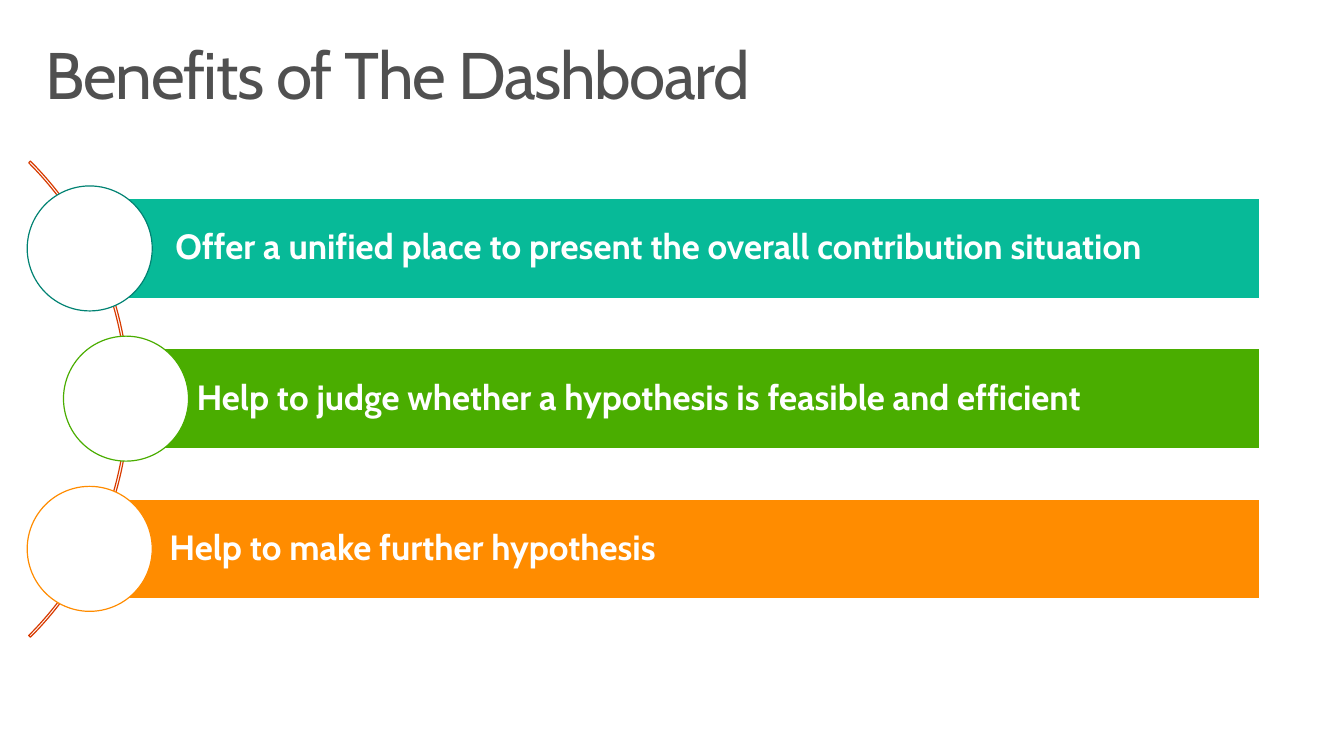
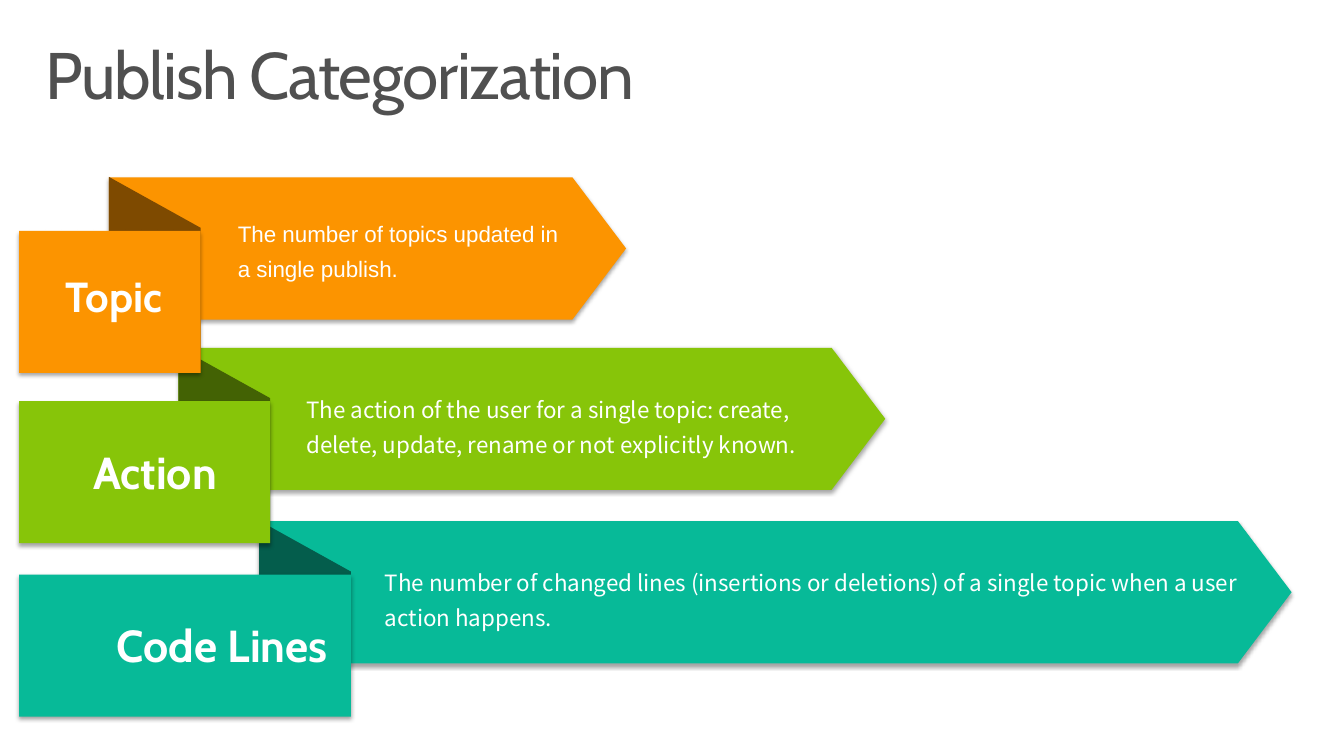
from dataclasses import dataclass

from lxml import etree
from pptx import Presentation
from pptx.dml.color import RGBColor
from pptx.enum import shapes, text
from pptx.oxml import ns
from pptx.util import Inches, Pt


@dataclass(frozen=True)
class Theme:
    white: str = "FFFFFF"
    title_color: str = "505050"
    arc_color: str = "D83B01"
    teal: str = "07BA98"
    teal_outline: str = "008272"
    teal_dark: str = "045D4C"
    green: str = "4AAD00"
    lime: str = "87C509"
    lime_dark: str = "436204"
    orange: str = "FF8C00"
    amber: str = "FC9400"
    amber_dark: str = "7E4A00"
    heading_font: str = "Cabin"
    body_font: str = "Noto Sans CJK SC"
    plain_font: str = "Arial"
    title_size: float = 47
    benefit_size: float = 25
    label_size: float = 32
    small_label_size: float = 30
    body_size: float = 16
    line_width: float = 0.85


THEME = Theme()
SHAPE = shapes.MSO_SHAPE


@dataclass(frozen=True)
class Benefit:
    wording: str
    bar_left: float
    circle_left: float
    fill: str
    outline: str


@dataclass(frozen=True)
class Category:
    label: str
    label_size: float
    label_box: tuple
    wording: str
    font: str
    wording_box: tuple
    block_top: float
    block_right: float
    arrow_right: float
    fill: str
    fold: str


BENEFITS = [
    Benefit("Offer a unified place to present the overall contribution situation",
            0.95, 0.27, THEME.teal, THEME.teal_outline),
    Benefit("Help to judge whether a hypothesis is feasible and efficient",
            1.16, 0.63, THEME.green, THEME.green),
    Benefit("Help to make further hypothesis",
            0.89, 0.27, THEME.orange, THEME.orange),
]

CATEGORIES = [
    Category("Topic", THEME.small_label_size, (0.41, 2.63, 1.3, 0.61),
             "The number of topics updated in a single publish.",
             THEME.plain_font, (2.26, 2.06, 3.48, 0.8),
             2.29, 1.99, 6.21, THEME.amber, THEME.amber_dark),
    Category("Action", THEME.label_size, (0.63, 4.36, 1.62, 0.64),
             "The action of the user for a single topic: create, delete, update, "
             "rename or not explicitly known.",
             THEME.body_font, (2.94, 3.8, 5.73, 0.8),
             3.98, 2.68, 8.78, THEME.lime, THEME.lime_dark),
    Category("Code Lines", THEME.label_size, (0.74, 6.08, 2.61, 0.64),
             "The number of changed lines (insertions or deletions) of a single topic "
             "when a user action happens.",
             THEME.body_font, (3.72, 5.52, 8.76, 0.8),
             5.7, 3.48, 12.81, THEME.teal, THEME.teal_dark),
]


def add_preset(slide, preset, box, fill=None, outline=None, adjustments=()):
    shape = slide.shapes.add_shape(preset, *map(Inches, box))
    shape.shadow.inherit = False
    for index, value in enumerate(adjustments):
        shape.adjustments[index] = value
    if fill:
        shape.fill.solid()
        shape.fill.fore_color.rgb = RGBColor.from_string(fill)
    else:
        shape.fill.background()
    if outline:
        shape.line.color.rgb = RGBColor.from_string(outline)
        shape.line.width = Pt(THEME.line_width)
    else:
        shape.line.fill.background()
    return shape


def add_drop_shadow(shape):
    """Fill the shape's empty effect list with a soft shadow straight below."""
    effects = shape._element.spPr.find(ns.qn("a:effectLst"))
    shadow = etree.SubElement(
        effects, ns.qn("a:outerShdw"), blurRad=str(Pt(3.1)), dist=str(Pt(1.8)),
        dir="5400000", algn="t", rotWithShape="0")
    color = etree.SubElement(shadow, ns.qn("a:srgbClr"), val="000000")
    etree.SubElement(color, ns.qn("a:alpha"), val="35000")


def set_text(shape, wording, font, size, color=THEME.white, bold=False,
             align=text.PP_ALIGN.LEFT, line_spacing=1.0,
             anchor=text.MSO_ANCHOR.TOP, insets=(0.1, 0.05, 0.1, 0.05)):
    """Write one paragraph; insets run left, top, right, bottom."""
    frame = shape.text_frame
    frame.text = wording
    frame.word_wrap = True
    frame.vertical_anchor = anchor
    (frame.margin_left, frame.margin_top,
     frame.margin_right, frame.margin_bottom) = map(Inches, insets)
    paragraph = frame.paragraphs[0]
    paragraph.alignment = align
    paragraph.line_spacing = line_spacing
    run = paragraph.runs[0]
    run.font.name = font
    run.font.size = Pt(size)
    run.font.bold = bold
    run.font.color.rgb = RGBColor.from_string(color)
    return run


def add_text(slide, box, wording, font, size, **style):
    return set_text(slide.shapes.add_textbox(*map(Inches, box)),
                    wording, font, size, **style)


def add_titled_slide(presentation, title):
    slide = presentation.slides.add_slide(presentation.slide_layouts[6])
    run = add_text(slide, (0.29, 0.32, 12.74, 0.98), title, THEME.heading_font,
                   THEME.title_size, color=THEME.title_color, line_spacing=0.9,
                   insets=(0.16, 0.1, 0.16, 0.1))
    run.font._element.set("spc", "-100")
    return slide


def add_benefit(slide, benefit, top):
    bar_right, bar_height, circle_size = 12.49, 0.99, 1.24
    bar = add_preset(slide, SHAPE.RECTANGLE,
                     (benefit.bar_left, top, bar_right - benefit.bar_left, bar_height),
                     benefit.fill, THEME.white)
    set_text(bar, benefit.wording, THEME.heading_font, THEME.benefit_size, bold=True,
             line_spacing=0.9, anchor=text.MSO_ANCHOR.MIDDLE,
             insets=(0.79, 0.07, 0.07, 0.07))
    circle_top = top - (circle_size - bar_height) / 2
    add_preset(slide, SHAPE.OVAL,
               (benefit.circle_left, circle_top, circle_size, circle_size),
               THEME.white, benefit.outline)


def add_ribbon(slide, category):
    """Draw an arrow that folds behind a label block."""
    block_left, height, rise = 0.19, 1.41, 0.53
    fold_length, fold_depth = 1.94, 0.91
    arrow_left = category.block_right - fold_depth
    arrow = add_preset(slide, SHAPE.PENTAGON,
                       (arrow_left, category.block_top - rise,
                        category.arrow_right - arrow_left, height),
                       category.fill, adjustments=[0.377])
    add_drop_shadow(arrow)
    fold_left = arrow_left - (fold_length - fold_depth) / 2
    fold = add_preset(slide, SHAPE.PARALLELOGRAM,
                      (fold_left, category.block_top - 0.02, fold_length, fold_depth),
                      category.fold, adjustments=[0.555])
    fold.rotation = 270
    block = add_preset(slide, SHAPE.RECTANGLE,
                       (block_left, category.block_top,
                        category.block_right - block_left, height), category.fill)
    add_drop_shadow(block)


def add_category_text(slide, category):
    add_text(slide, category.label_box, category.label, THEME.heading_font,
             category.label_size, bold=True, align=text.PP_ALIGN.RIGHT)
    add_text(slide, category.wording_box, category.wording, category.font,
             THEME.body_size, line_spacing=1.3)


def build_benefits(presentation):
    slide = add_titled_slide(presentation, "Benefits of The Dashboard")
    add_preset(slide, SHAPE.BLOCK_ARC, (-5.4, 0.62, 6.68, 6.68),
               outline=THEME.arc_color, adjustments=[189, 27, 0.0036])
    first_top, pitch = 1.97, 1.49
    for row, benefit in enumerate(BENEFITS):
        add_benefit(slide, benefit, first_top + row * pitch)


def build_categories(presentation):
    slide = add_titled_slide(presentation, "Publish Categorization")
    for category in reversed(CATEGORIES):
        add_ribbon(slide, category)
    for category in CATEGORIES:
        add_category_text(slide, category)


def main():
    presentation = Presentation()
    presentation.slide_width = Inches(13.33)
    presentation.slide_height = Inches(7.5)
    build_benefits(presentation)
    build_categories(presentation)
    presentation.save("out.pptx")


if __name__ == "__main__":
    main()
